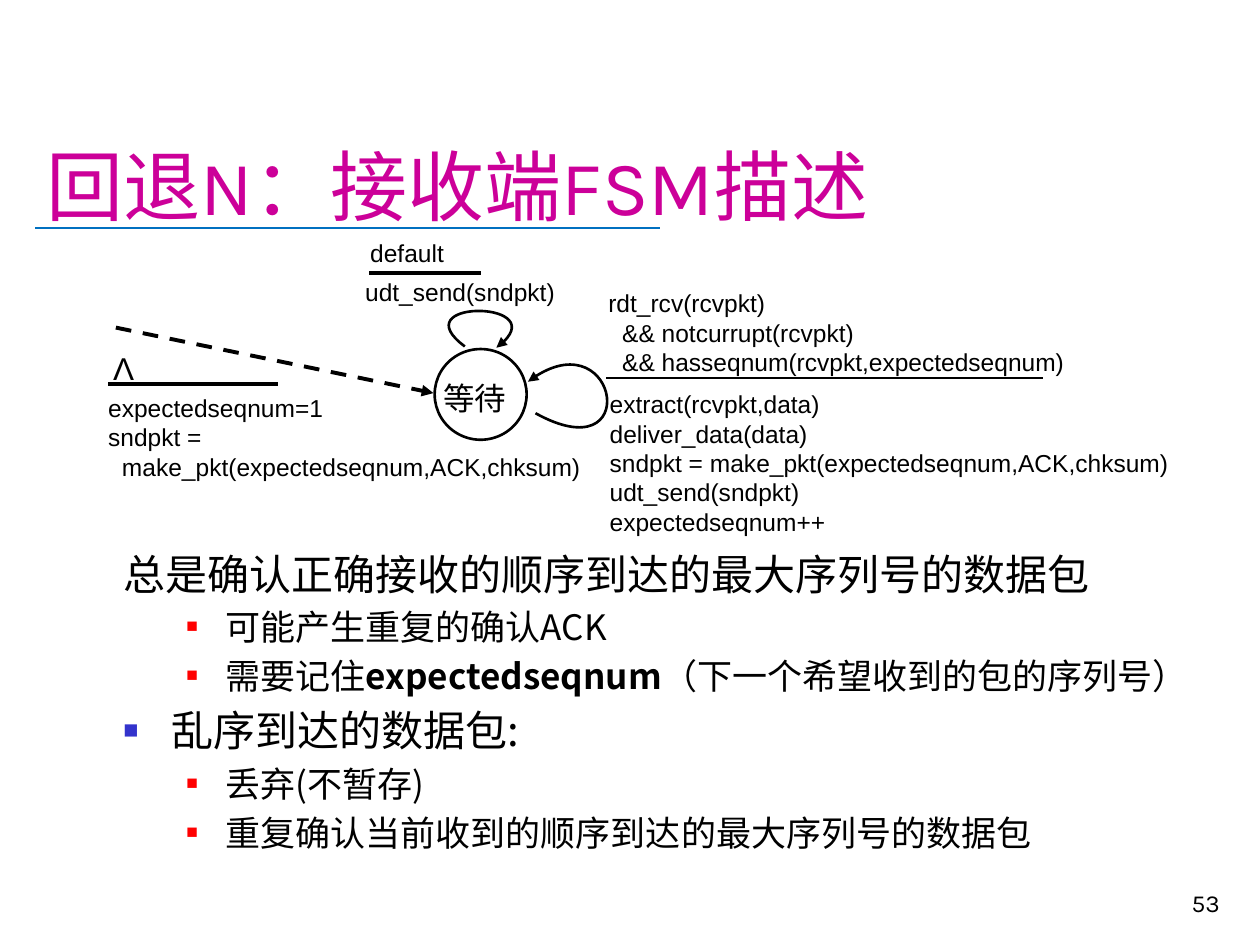
from pptx import Presentation
from pptx.dml.color import RGBColor
from pptx.enum.dml import MSO_LINE
from pptx.enum.shapes import MSO_CONNECTOR, MSO_SHAPE
from pptx.enum.text import MSO_ANCHOR, MSO_AUTO_SIZE, PP_ALIGN
from pptx.oxml.ns import qn
from pptx.util import Inches, Pt
from lxml.etree import SubElement

BLACK = RGBColor(0, 0, 0)
WHITE = RGBColor(255, 255, 255)
MAGENTA = RGBColor(0xCC, 0, 0x99)
BLUE = RGBColor(0, 0x70, 0xC0)
RED = RGBColor(255, 0, 0)
INDIGO = RGBColor(0x33, 0x33, 0xCC)
CJK_FONT = "Noto Sans CJK SC"
LINE_RATIO = 1.2


def apply(target, values):
    """Set every attribute named in a dict of format values."""
    for name, value in values.items():
        setattr(target, name, value)


class StateSlide:
    """Draws a state-machine slide on a grid of 100 columns by 75 rows."""

    def __init__(self, deck):
        apply(deck, {"slide_width": Inches(10), "slide_height": Inches(7.5)})
        self.column = deck.slide_width / 100
        self.row = deck.slide_height / 75
        self.page = deck.slides.add_slide(deck.slide_layouts[5])
        self.shapes = self.page.shapes

    def grid(self, *lengths):
        units = (self.column, self.row)
        return [round(length * units[index % 2]) for index, length in enumerate(lengths)]

    def paragraph(self, frame, spans, size=14, font="Arial", color=BLACK, first=False, **layout):
        para = frame.paragraphs[0] if first else frame.add_paragraph()
        apply(para, {"alignment": PP_ALIGN.LEFT, "line_spacing": Pt(size * LINE_RATIO), **layout})
        for text, bold in spans:
            span = para.add_run()
            span.text = text
            apply(span.font, {"name": font, "size": Pt(size), "bold": bold})
            span.font.color.rgb = color
            SubElement(span.font._element, qn("a:ea"), typeface=CJK_FONT)
        return para

    def title(self, text, area):
        box = self.shapes.title
        apply(box, dict(zip(("left", "top", "width", "height"), self.grid(*area))))
        apply(box.text_frame, {"vertical_anchor": MSO_ANCHOR.BOTTOM, "margin_bottom": 0,
                               "auto_size": MSO_AUTO_SIZE.NONE, "word_wrap": True})
        self.paragraph(box.text_frame, [(text, False)], 44, "Karla", MAGENTA, first=True)

    def frame(self, area, **values):
        box = self.shapes.add_textbox(*self.grid(*area))
        apply(box.text_frame, {"word_wrap": True, **values})
        return box.text_frame

    def label(self, area, *lines, indented=(), anchor=MSO_ANCHOR.TOP, **style):
        frame = self.frame(area, vertical_anchor=anchor)
        for index, line in enumerate(lines):
            para = self.paragraph(frame, [(line, False)], first=index == 0, **style)
            if line in indented:
                para._p.get_or_add_pPr().set("marL", str(Inches(0.11)))

    def outline(self, area):
        frame = self.frame(area)
        return lambda *spans, **style: self.point(frame, spans, **style)

    def point(self, frame, spans, level=0, bullet=None):
        size = (24, 20)[level]
        first = not frame.paragraphs[0].runs
        para = self.paragraph(frame, spans, size, CJK_FONT, first=first,
                              level=level, space_before=Pt(size * 0.2))
        margin, hanging = ((0.38, 0.38), (0.81, 0.31))[level]
        properties = para._p.get_or_add_pPr()
        properties.set("marL", str(Inches(margin)))
        properties.set("indent", str(-Inches(hanging)))
        if bullet:
            color = SubElement(properties, qn("a:buClr"))
            SubElement(color, qn("a:srgbClr"), val=str(bullet))
            SubElement(properties, qn("a:buSzPct"), val=("60000", "55000")[level])
            SubElement(properties, qn("a:buFont"), typeface="Arial")
            SubElement(properties, qn("a:buChar"), char="■")

    def stroke(self, shape, width, color=BLACK, dash=None, arrow=False):
        shape.line.color.rgb = color
        apply(shape.line, {"width": Pt(width), "dash_style": dash})
        if arrow:
            SubElement(shape.line._get_or_add_ln(), qn("a:tailEnd"), type="triangle")

    def line(self, start, end, width=2.25, **style):
        connector = self.shapes.add_connector(MSO_CONNECTOR.STRAIGHT, *self.grid(*start, *end))
        self.stroke(connector, width, **style)
        SubElement(connector._element.spPr, qn("a:effectLst"))

    def state(self, area):
        circle = self.shapes.add_shape(MSO_SHAPE.OVAL, *self.grid(*area))
        circle.shadow.inherit = False
        circle.fill.solid()
        circle.fill.fore_color.rgb = WHITE
        self.stroke(circle, 1.5)

    def loop(self, start, *controls):
        builder = self.shapes.build_freeform(*self.grid(*start))
        builder.add_line_segments([self.grid(*point) for point in controls], close=False)
        loop = builder.convert_to_shape()
        loop.shadow.inherit = False
        loop.fill.background()
        self.stroke(loop, 1.5, arrow=True)
        path = next(loop._element.iter(qn("a:path")))
        segments = path.findall(qn("a:lnTo"))
        curve = SubElement(path, qn("a:cubicBezTo"))
        for segment in segments:
            curve.append(segment[0])
            path.remove(segment)


def main():
    """Build the receiver slide and save it."""
    deck = Presentation()
    slide = StateSlide(deck)
    slide.line((2.8, 18.1), (52.4, 18.1), 1.25, color=BLUE)
    slide.title("回退N：接收端FSM描述", (2.7, 2.3, 95.1, 16))
    slide.label((77, 68.3, 20.8, 5), "53", font="Karla", anchor=MSO_ANCHOR.BOTTOM,
                alignment=PP_ALIGN.RIGHT)

    slide.state((34.5, 27.7, 7.3, 7.2))
    slide.label((34.2, 29.6, 8.2, 2.6), "等待", size=18, font="Times New Roman")
    slide.line((9.2, 26), (34.4, 31.2), dash=MSO_LINE.DASH, arrow=True)
    slide.loop((42.5, 32.8), (51, 37.5), (49, 24.9), (41.9, 30.3))
    slide.loop((36.9, 27.5), (31.9, 23.8), (44.5, 23.8), (39.4, 27.6))

    slide.label((28.4, 18.4, 9, 2.7), "default")
    slide.line((29.3, 21.7), (38.2, 21.7))
    slide.label((28, 21.5, 17.7, 3.4), "udt_send(sndpkt)")

    conditions = ("&& notcurrupt(rcvpkt)", "&& hasseqnum(rcvpkt,expectedseqnum)")
    slide.label((47.3, 22.4, 39, 6.2), "rdt_rcv(rcvpkt)", *conditions, indented=conditions)
    slide.line((48.1, 30), (82.8, 30), 1.5)
    slide.label((47.4, 30.4, 47.2, 9.4), "extract(rcvpkt,data)", "deliver_data(data)",
                "sndpkt = make_pkt(expectedseqnum,ACK,chksum)",
                "udt_send(sndpkt)", "expectedseqnum++")

    slide.label((8, 27.2, 3.5, 3.7), "Λ", size=18)
    slide.line((8.6, 30.5), (22.1, 30.5))
    packet = "make_pkt(expectedseqnum,ACK,chksum)"
    slide.label((7.6, 30.7, 39.8, 10.7), "expectedseqnum=1", "sndpkt =", packet,
                indented=(packet,))

    point = slide.outline((8.8, 43, 89.1, 31.2))
    point(("总是确认正确接收的顺序到达的最大序列号的数据包", False))
    point(("可能产生重复的确认ACK", False), level=1, bullet=RED)
    point(("需要记住", False), ("expectedseqnum", True),
          ("（下一个希望收到的包的序列号）", False), level=1, bullet=RED)
    point(("乱序到达的数据包:", False), bullet=INDIGO)
    for answer in ("丢弃(不暂存)", "重复确认当前收到的顺序到达的最大序列号的数据包"):
        point((answer, False), level=1, bullet=RED)
    deck.save("out.pptx")


if __name__ == "__main__":
    main()
